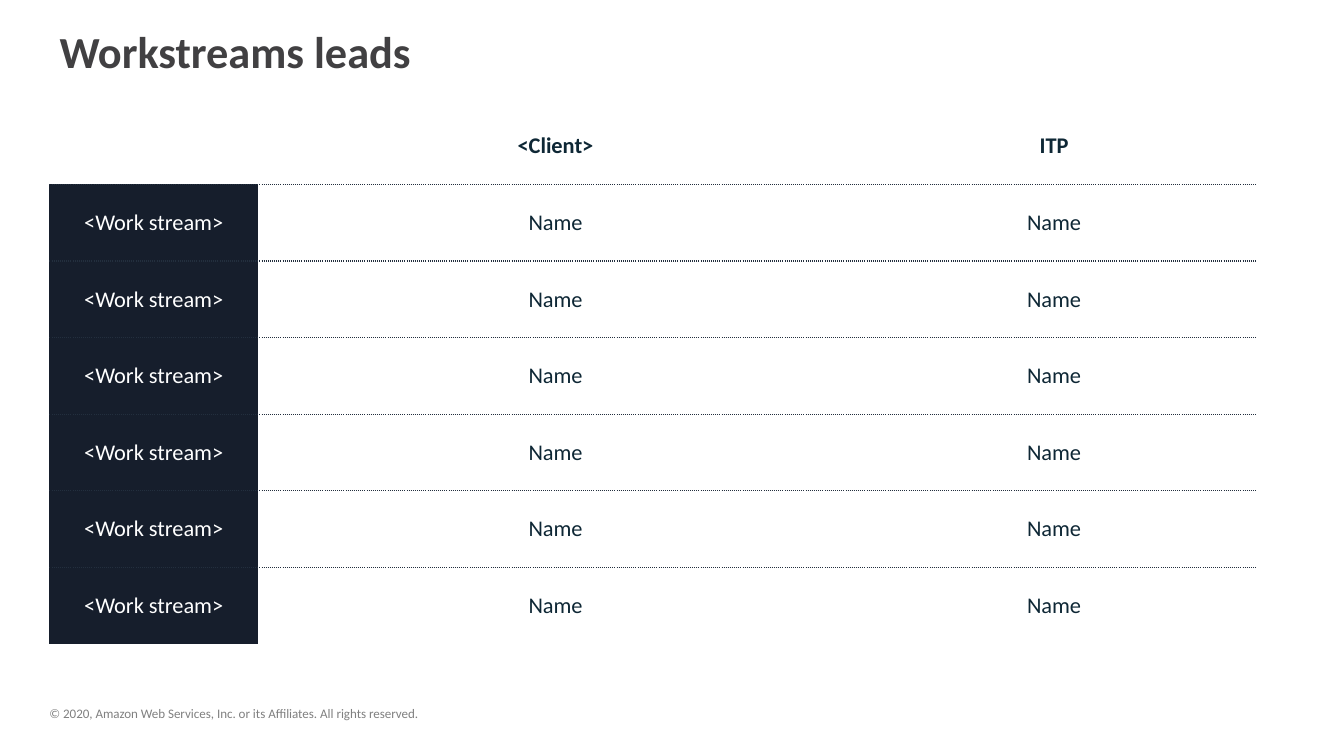
import lxml.etree
import pptx
import pptx.dml.color
import pptx.enum.text
import pptx.oxml.ns
import pptx.util
from pptx.util import Inches

RGBColor = pptx.dml.color.RGBColor
CHARCOAL = RGBColor(0x41, 0x40, 0x42)
GREY = RGBColor(0x80, 0x80, 0x80)
NAVY = RGBColor(0x16, 0x1E, 0x2C)
INK = RGBColor(0x0E, 0x27, 0x35)
RULE = RGBColor(0x23, 0x2F, 0x3E)
WHITE = RGBColor(0xFF, 0xFF, 0xFF)

FONT = "Calibri"
NO_STYLE = "{2D5ABB26-0587-4C30-8999-92F81FD0307C}"
ALIGN = pptx.enum.text.PP_ALIGN
ANCHOR = pptx.enum.text.MSO_ANCHOR
MARGIN, CONTENT_WIDTH = 0.49, 11.96
COLUMN_WIDTHS = [2.07, 5.9, 3.99]
LEADS = [["", "<Client>", "ITP"]] + [["<Work stream>", "Name", "Name"]] * 6


def add_text(paragraph, text, size, color, bold=False, align=ALIGN.LEFT):
    paragraph.alignment = align
    run = paragraph.add_run()
    run.text = text
    run.font.name = FONT
    run.font.size = pptx.util.Pt(size)
    run.font.bold = bold
    run.font.color.rgb = color


def add_title(slide, left, top, width, height):
    title = slide.shapes.title
    title.left, title.top = Inches(left), Inches(top)
    title.width, title.height = Inches(width), Inches(height)
    frame = title.text_frame
    frame.vertical_anchor = ANCHOR.TOP
    frame.margin_top = Inches(0.07)
    add_text(frame.paragraphs[0], "Workstreams leads", 31.7, CHARCOAL, True)


def add_dotted_border(cell, side):
    properties = cell._tc.get_or_add_tcPr()
    line = lxml.etree.SubElement(
        properties, pptx.oxml.ns.qn(f"a:{side}"), w=str(pptx.util.Pt(1)))
    fill = lxml.etree.SubElement(line, pptx.oxml.ns.qn("a:solidFill"))
    lxml.etree.SubElement(fill, pptx.oxml.ns.qn("a:srgbClr"), val=str(RULE))
    lxml.etree.SubElement(line, pptx.oxml.ns.qn("a:prstDash"), val="sysDot")


def add_leads_table(slide, left, top, width, height):
    frame = slide.shapes.add_table(
        len(LEADS), len(COLUMN_WIDTHS),
        Inches(left), Inches(top), Inches(width), Inches(height))
    table = frame.table
    table._tbl.tblPr.find(pptx.oxml.ns.qn("a:tableStyleId")).text = NO_STYLE
    table.horz_banding = False
    for column, column_width in zip(table.columns, COLUMN_WIDTHS):
        column.width = Inches(column_width)

    for row, texts in enumerate(LEADS):
        for col, text in enumerate(texts):
            cell = table.cell(row, col)
            cell.margin_left = cell.margin_right = Inches(0.13)
            cell.margin_top = cell.margin_bottom = Inches(0.07)
            cell.vertical_anchor = ANCHOR.MIDDLE
            if row > 0:
                add_dotted_border(cell, "lnT")
            if row < len(LEADS) - 1:
                add_dotted_border(cell, "lnB")
            is_stream = row > 0 and col == 0
            if is_stream:
                cell.fill.solid()
                cell.fill.fore_color.rgb = NAVY
            else:
                cell.fill.background()
            if text:
                add_text(cell.text_frame.paragraphs[0], text, 16,
                         WHITE if is_stream else INK, row == 0, ALIGN.CENTER)


def add_copyright(slide, left, top, width, height):
    box = slide.shapes.add_textbox(
        Inches(left), Inches(top), Inches(width), Inches(height))
    frame = box.text_frame
    frame.word_wrap = True
    frame.margin_left = frame.margin_right = 0
    frame.margin_top = frame.margin_bottom = 0
    add_text(
        frame.paragraphs[0],
        "© 2020, Amazon Web Services, Inc. or its Affiliates. All rights reserved.",
        9.3, GREY)


def main():
    presentation = pptx.Presentation()
    presentation.slide_width = Inches(13.33)
    presentation.slide_height = Inches(7.5)
    slide = presentation.slides.add_slide(presentation.slide_layouts[5])
    add_copyright(slide, MARGIN, 7, 6.48, 0.16)
    add_title(slide, MARGIN, 0.17, CONTENT_WIDTH, 0.8)
    add_leads_table(slide, MARGIN, 1.07, CONTENT_WIDTH, 5.32)
    presentation.save("out.pptx")


if __name__ == "__main__":
    main()
